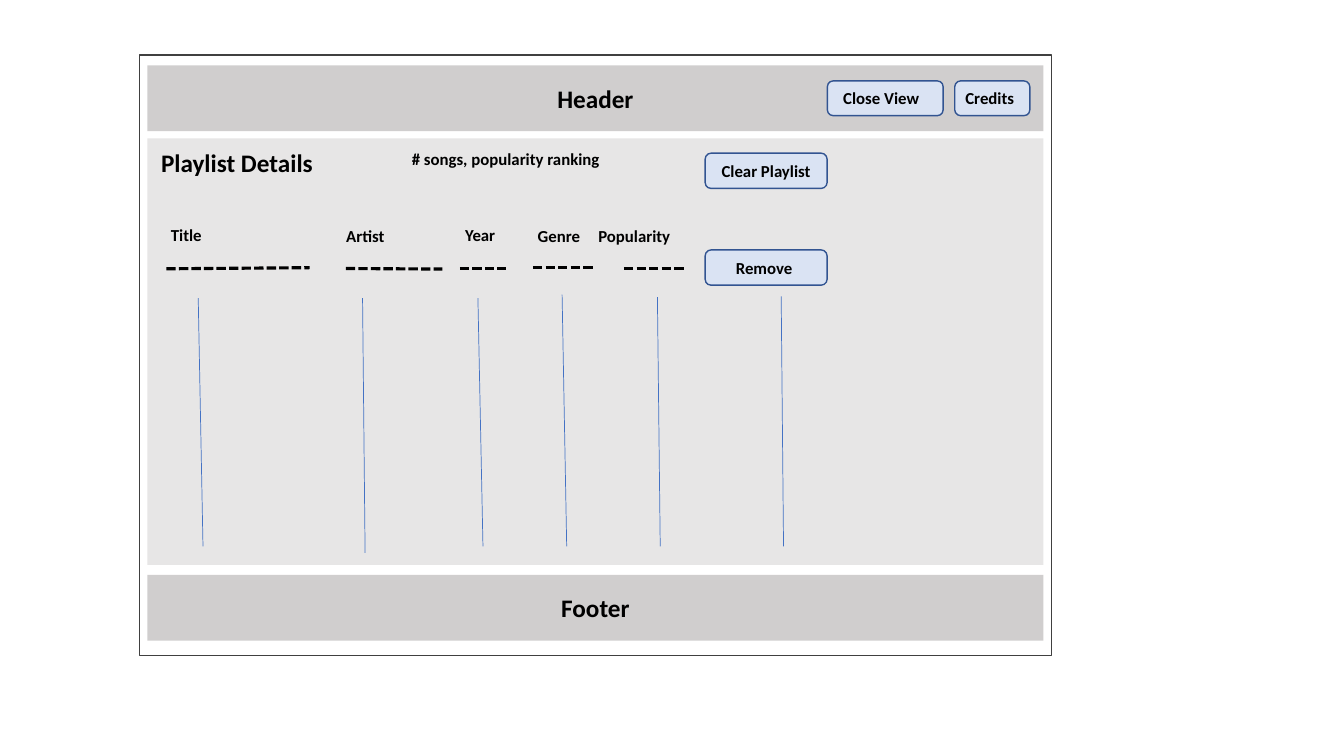
"""Build a wireframe slide of a playlist details view."""
from dataclasses import dataclass

from lxml.etree import SubElement
from pptx import Presentation
from pptx.dml.color import RGBColor
from pptx.enum.dml import MSO_LINE
from pptx.enum.shapes import MSO_CONNECTOR, MSO_SHAPE
from pptx.enum.text import MSO_ANCHOR, MSO_AUTO_SIZE, PP_ALIGN
from pptx.oxml.ns import qn
from pptx.shapes.autoshape import Shape
from pptx.slide import Slide
from pptx.text.text import TextFrame
from pptx.util import Pt


@dataclass(frozen=True)
class Theme:
    """Colours, typeface and sizes of the wireframe."""
    ink: RGBColor = RGBColor(0x00, 0x00, 0x00)
    frame: RGBColor = RGBColor(0x40, 0x40, 0x40)
    band: RGBColor = RGBColor(0xD0, 0xCE, 0xCE)
    panel: RGBColor = RGBColor(0xE7, 0xE6, 0xE6)
    button: RGBColor = RGBColor(0xDA, 0xE3, 0xF3)
    button_edge: RGBColor = RGBColor(0x32, 0x54, 0x91)
    guide: RGBColor = RGBColor(0x44, 0x72, 0xC4)
    font: str = "Calibri"
    heading: float = 18
    label: float = 12
    edge: float = 1
    guide_width: float = 0.5
    dash_width: float = 2.25


@dataclass(frozen=True)
class Box:
    """A rectangle in points."""
    left: float
    top: float
    width: float
    height: float


@dataclass(frozen=True)
class Line:
    """A straight line between two points."""
    x1: float
    y1: float
    x2: float
    y2: float


@dataclass(frozen=True)
class Button:
    """A labelled button; right_inset nudges its label left."""
    label: str
    box: Box
    right_inset: float = 0


@dataclass(frozen=True)
class Column:
    """A song list column: heading, dashed rule and guide line."""
    heading: str
    box: Box
    rule: Line
    guide: Line


THEME = Theme()
LABEL_HEIGHT = 21.8
FRAME = Box(99.6, 39.2, 651.6, 429)
HEADER = Box(105.3, 46.7, 640, 47)
PANEL = Box(105.3, 98.8, 640, 304.7)
FOOTER = Box(105.3, 410.6, 640, 47)
TITLE = Box(107.8, 101.7, 124, 29)
SUMMARY = Box(287.1, 103, 158.4, LABEL_HEIGHT)

BUTTONS = [
    Button("Close View", Box(591, 57.8, 82.7, 24.8), 5.8),
    Button("Credits", Box(682, 57.8, 53.6, 24.8), 3.6),
    Button("Clear Playlist", Box(503.7, 109.4, 87.1, 25.2)),
    Button("Remove", Box(503.7, 178.5, 87.1, 25.2), 2.9),
]
COLUMNS = [
    Column("Title", Box(115, 157, 75.6, LABEL_HEIGHT),
           Line(118.8, 192, 221.2, 191.2), Line(141.6, 213, 145, 390.2)),
    Column("Artist", Box(240.2, 157.7, 75.6, LABEL_HEIGHT),
           Line(247, 191.8, 316, 192.2), Line(259, 213, 260.8, 395)),
    Column("Year", Box(325.2, 157, 47.5, LABEL_HEIGHT),
           Line(328.5, 191.9, 361.5, 191.9), Line(341.4, 213, 345, 390.2)),
    Column("Genre", Box(377, 157.7, 47.5, LABEL_HEIGHT),
           Line(380.7, 191.2, 423.8, 191.2), Line(401.5, 210.5, 404.8, 390.2)),
    Column("Popularity", Box(420.3, 157.7, 69.1, LABEL_HEIGHT),
           Line(445.7, 192.1, 489.3, 192.1), Line(469.6, 212.2, 471.6, 390.2)),
]
REMOVE_GUIDE = Line(558, 211.8, 559.7, 390.2)


def write(frame: TextFrame, text: str, size: float, align: PP_ALIGN) -> None:
    """Put one bold paragraph into a text frame."""
    frame.text = text
    paragraph = frame.paragraphs[0]
    paragraph.alignment = align
    paragraph.line_spacing = 1.0
    font = paragraph.font
    font.name, font.size, font.bold = THEME.font, Pt(size), True
    font.color.rgb = THEME.ink


def add_area(slide: Slide, box: Box, fill: RGBColor | None, edge: RGBColor | None = None,
             kind: MSO_SHAPE = MSO_SHAPE.RECTANGLE, text: str = "",
             size: float = THEME.heading) -> Shape:
    """Draw a filled or outlined area with optional centred text."""
    area = slide.shapes.add_shape(
        kind, Pt(box.left), Pt(box.top), Pt(box.width), Pt(box.height))
    area.shadow.inherit = False
    if fill is None:
        area.fill.background()
    else:
        area.fill.solid()
        area.fill.fore_color.rgb = fill
    if edge is None:
        area.line.fill.background()
    else:
        area.line.color.rgb = edge
        area.line.width = Pt(THEME.edge)
    if text:
        write(area.text_frame, text, size, PP_ALIGN.CENTER)
        area.text_frame.vertical_anchor = MSO_ANCHOR.MIDDLE
    return area


def add_button(slide: Slide, button: Button) -> None:
    """Draw a rounded button with its label."""
    shape = add_area(slide, button.box, THEME.button, THEME.button_edge,
                     MSO_SHAPE.ROUNDED_RECTANGLE, button.label, THEME.label)
    frame = shape.text_frame
    frame.margin_left = frame.margin_top = frame.margin_bottom = 0
    frame.margin_right = Pt(button.right_inset)


def add_label(slide: Slide, text: str, box: Box) -> None:
    """Draw a small left-aligned label."""
    label = slide.shapes.add_textbox(
        Pt(box.left), Pt(box.top), Pt(box.width), Pt(box.height))
    label.text_frame.word_wrap = True
    write(label.text_frame, text, THEME.label, PP_ALIGN.LEFT)


def add_line(slide: Slide, line: Line, color: RGBColor, width: float,
             dash: MSO_LINE | None = None) -> None:
    """Draw a straight line without a shadow."""
    stroke = slide.shapes.add_connector(
        MSO_CONNECTOR.STRAIGHT, Pt(line.x1), Pt(line.y1), Pt(line.x2), Pt(line.y2))
    stroke.line.color.rgb = color
    stroke.line.width = Pt(width)
    if dash is not None:
        stroke.line.dash_style = dash
    SubElement(stroke.element.spPr, qn("a:effectLst"))


def place_title(slide: Slide, text: str, box: Box, behind: Shape) -> None:
    """Format the title placeholder and raise it above the panel."""
    title = slide.shapes.title
    title.left, title.top = Pt(box.left), Pt(box.top)
    title.width, title.height = Pt(box.width), Pt(box.height)
    write(title.text_frame, text, THEME.heading, PP_ALIGN.LEFT)
    title.text_frame.word_wrap = False
    title.text_frame.auto_size = MSO_AUTO_SIZE.NONE
    title.text_frame.vertical_anchor = MSO_ANCHOR.TOP
    behind.element.addnext(title.element)


def main() -> None:
    """Build and save the slide."""
    deck = Presentation()
    deck.slide_width, deck.slide_height = Pt(960), Pt(540)
    slide = deck.slides.add_slide(deck.slide_layouts[5])
    add_area(slide, FRAME, None, THEME.frame)
    add_area(slide, HEADER, THEME.band, text="Header")
    add_area(slide, FOOTER, THEME.band, text="Footer")
    panel = add_area(slide, PANEL, THEME.panel)
    place_title(slide, "Playlist Details", TITLE, panel)
    add_label(slide, "# songs, popularity ranking", SUMMARY)
    for button in BUTTONS:
        add_button(slide, button)
    for column in COLUMNS:
        add_label(slide, column.heading, column.box)
        add_line(slide, column.rule, THEME.ink, THEME.dash_width, MSO_LINE.SQUARE_DOT)
    for guide in [column.guide for column in COLUMNS] + [REMOVE_GUIDE]:
        add_line(slide, guide, THEME.guide, THEME.guide_width)
    deck.save("out.pptx")


main()
